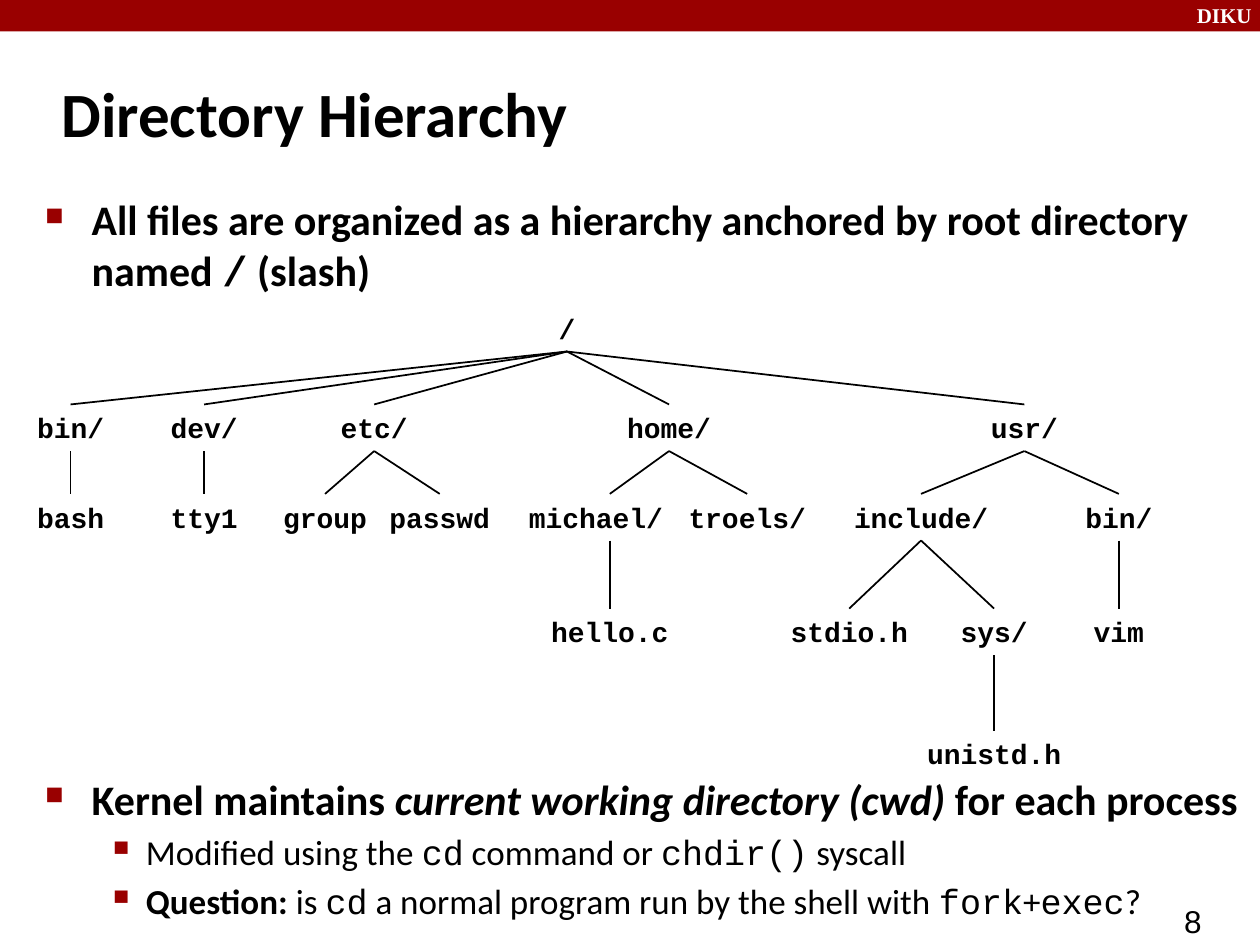
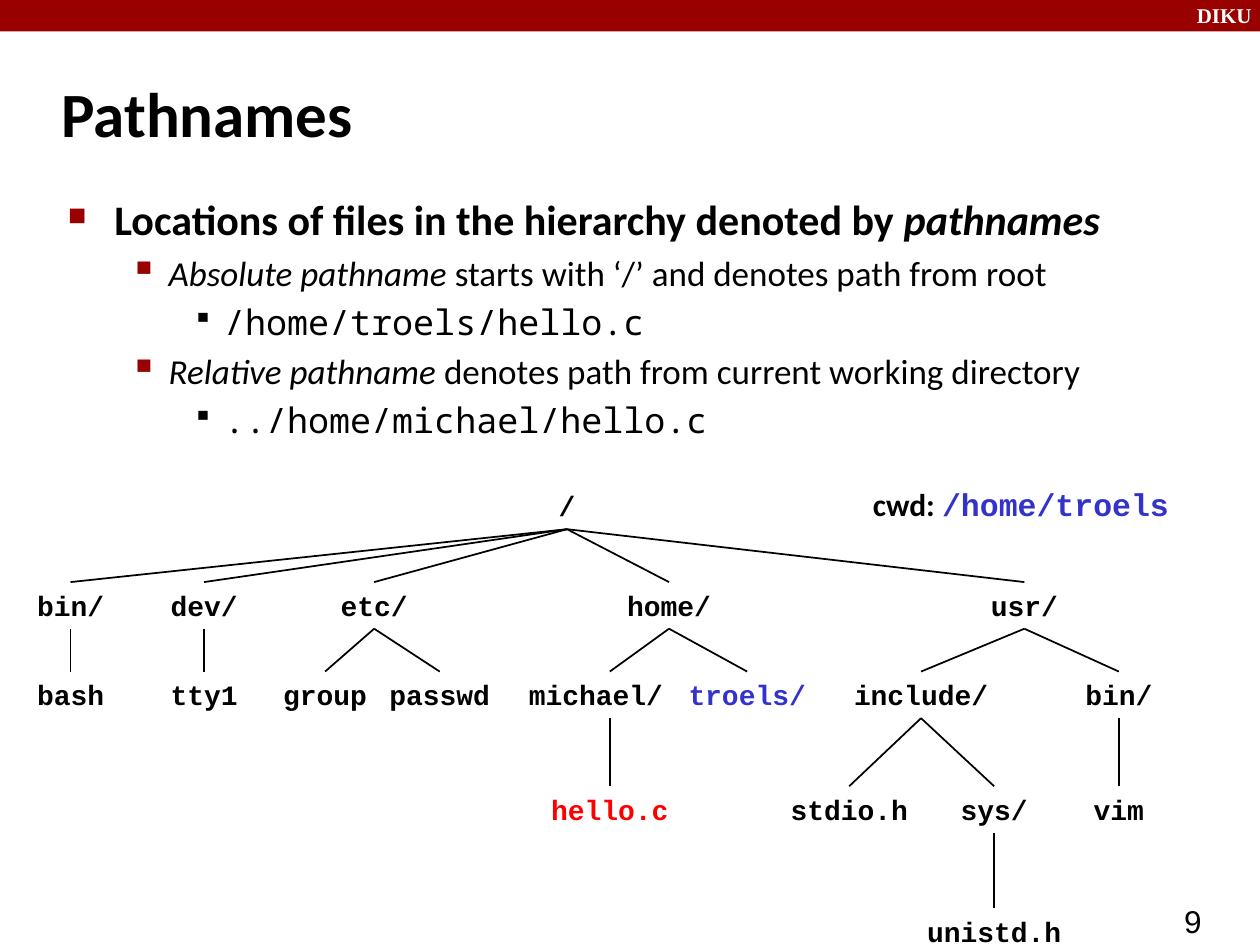
"""Build two slides on the directory hierarchy and on pathnames."""
from lxml import etree
from pptx import Presentation
from pptx import util as u
from pptx.dml.color import RGBColor
from pptx.enum import shapes, text
from pptx.oxml.ns import qn

COLORS = {"band": "990000", "white": "FFFFFF", "black": "000000",
          "cwd": "3333CC", "target": "FF0000"}

LEVELS = [
    {"margin": 0.38, "hang": 0.37, "before": 4.8, "bullet": "■", "scale": 60,
     "color": "band", "font": {"size": 24, "bold": True}},
    {"margin": 0.81, "hang": 0.31, "before": 4, "bullet": "▪", "scale": 110,
     "color": "band", "font": {"size": 20}},
    {"margin": 1.25, "hang": 0.25, "before": 4, "bullet": "▪", "scale": 80,
     "color": "black", "font": {"size": 20, "name": "Noto Sans Mono"}},
]

STYLES = {
    "plain": {},
    "bold": {"bold": True},
    "italic": {"italic": True},
    "code": {"name": "Courier New"},
    "cwd": {"name": "Courier New", "color": "cwd"},
    "title": {"size": 36, "bold": True},
    "caption": {"size": 18, "bold": True},
    "number": {"size": 18, "name": "Arial"},
    "brand": {"size": 12, "bold": True, "name": "Times New Roman", "color": "white"},
    "node": {"size": 16, "bold": True, "name": "Courier New"},
}

# name, depth, parent key, centre of the lines, centre of the label
TREE = {
    "root": ("/", 0, None, 4.5),
    "bin": ("bin/", 1, "root", 0.56),
    "dev": ("dev/", 1, "root", 1.62),
    "etc": ("etc/", 1, "root", 2.97),
    "home": ("home/", 1, "root", 5.31),
    "usr": ("usr/", 1, "root", 8.13),
    "bash": ("bash", 2, "bin", 0.56),
    "tty1": ("tty1", 2, "dev", 1.62),
    "group": ("group", 2, "etc", 2.58),
    "passwd": ("passwd", 2, "etc", 3.49),
    "michael": ("michael/", 2, "home", 4.84),
    "troels": ("troels/", 2, "home", 5.93),
    "include": ("include/", 2, "usr", 7.31),
    "usr_bin": ("bin/", 2, "usr", 8.88),
    "hello": ("hello.c", 3, "michael", 4.84),
    "stdio": ("stdio.h", 3, "include", 6.74),
    "sys": ("sys/", 3, "include", 7.89),
    "vim": ("vim", 3, "usr_bin", 8.88),
    "unistd": ("unistd.h", 4, "sys", 7.89),
}
LABEL_SHIFT = {"michael": -0.11}
DEPTH_TOPS = [0, 0.79, 1.5, 2.41, 3.38]
NODE_HEIGHT, LETTER_WIDTH, INSET = 0.36, 0.133, 0.1

SLIDES = [
    {"title": "Directory Hierarchy", "number": "8", "tree_top": 2.42, "marked": {},
     "bodies": [
         ((0.25, 1.49, 9.73, 0.95), [
             (0, [("All files are organized as a hierarchy anchored by root "
                   "directory named ", "plain"),
                  ("/", "code"), (" (slash)", "plain")])]),
         ((0.25, 6.09, 9.73, 1.3), [
             (0, [("Kernel maintains ", "plain"),
                  ("current working directory (cwd) ", "italic"),
                  ("for each process", "plain")]),
             (1, [("Modified using the ", "plain"), ("cd", "code"),
                  (" command or ", "plain"), ("chdir()", "code"),
                  (" syscall", "plain")]),
             (1, [("Question: ", "bold"), ("is ", "plain"), ("cd", "code"),
                  (" a normal program run by the shell with ", "plain"),
                  ("fork", "code"), ("+", "plain"), ("exec", "code"),
                  ("?", "plain")])])],
     "captions": []},
    {"title": "Pathnames", "number": "9", "tree_top": 3.83,
     "marked": {"troels": "cwd", "hello": "target"},
     "bodies": [
         ((0.43, 1.49, 9.32, 2.09), [
             (0, [("Locations of files in the hierarchy denoted by ", "plain"),
                  ("pathnames", "italic")]),
             (1, [("Absolute pathname ", "italic"),
                  ("starts with ‘/’ and denotes path from root", "plain")]),
             (2, [("/home/troels/hello.c", "plain")]),
             (1, [("Relative pathname ", "italic"),
                  ("denotes path from current working directory", "plain")]),
             (2, [("../home/michael/hello.c", "plain")])])],
     "captions": [((6.83, 3.8, 2.64, 0.4),
                   [("cwd: ", "plain"), ("/home/troels", "cwd")])]},
]


def rgb(name):
    return RGBColor.from_string(COLORS[name])


def add_box(page, place, wrap=True, anchor=text.MSO_ANCHOR.TOP):
    frame = page.shapes.add_textbox(*map(u.Inches, place)).text_frame
    frame.word_wrap = wrap
    frame.vertical_anchor = anchor
    return frame


def add_span(para, words, *formats):
    span = para.add_run()
    span.text = words
    values = {"name": "Calibri", "color": "black"}
    for extra in formats:
        values.update(extra)
    span.font.color.rgb = rgb(values.pop("color"))
    values["size"] = u.Pt(values["size"])
    for key, value in values.items():
        setattr(span.font, key, value)


def add_label(page, place, words, style, **options):
    para = add_box(page, place, **options).paragraphs[0]
    add_span(para, words, STYLES[style])


def set_bullet(para, level):
    props = para._p.get_or_add_pPr()
    props.set("marL", str(u.Inches(level["margin"])))
    props.set("indent", str(-u.Inches(level["hang"])))
    color = etree.SubElement(props, qn("a:buClr"))
    etree.SubElement(color, qn("a:srgbClr"), val=COLORS[level["color"]])
    etree.SubElement(props, qn("a:buSzPct"), val=str(level["scale"] * 1000))
    etree.SubElement(props, qn("a:buChar"), char=level["bullet"])


def add_body(page, place, items):
    frame = add_box(page, place)
    for index, (depth, spans) in enumerate(items):
        level = LEVELS[depth]
        para = frame.add_paragraph() if index else frame.paragraphs[0]
        set_bullet(para, level)
        if index:
            para.level = depth
            para.space_before = u.Pt(level["before"])
        for words, style in spans:
            add_span(para, words, level["font"], STYLES[style])


def add_branch(page, start, end):
    line = page.shapes.add_connector(
        shapes.MSO_CONNECTOR.STRAIGHT, *map(u.Inches, start + end))
    line.line.color.rgb = rgb("black")
    line.line.width = u.Pt(1)
    etree.SubElement(line._element.spPr, qn("a:effectLst"))


def add_tree(page, top, marked):
    for key, (name, depth, parent, center) in TREE.items():
        y = top + DEPTH_TOPS[depth]
        width = 2 * INSET + LETTER_WIDTH * len(name)
        left = center + LABEL_SHIFT.get(key, 0) - width / 2
        para = add_box(page, (left, y, width, NODE_HEIGHT), wrap=False).paragraphs[0]
        para.alignment = text.PP_ALIGN.CENTER
        add_span(para, name, STYLES["node"], {"color": marked.get(key, "black")})
        if parent:
            _, parent_depth, _, parent_center = TREE[parent]
            bottom = top + DEPTH_TOPS[parent_depth] + NODE_HEIGHT + 0.01
            add_branch(page, (parent_center, bottom), (center, y))


def add_frame(page, title, number):
    band = page.shapes.add_shape(
        shapes.MSO_SHAPE.RECTANGLE, 0, 0, u.Inches(10), u.Inches(0.25))
    band.shadow.inherit = False
    band.fill.solid()
    band.fill.fore_color.rgb = rgb("band")
    band.line.fill.background()
    add_label(page, (9.4, -0.03, 0.67, 0.3), "DIKU", "brand")
    add_label(page, (9.3, 7.11, 0.75, 0.29), number, "number")
    add_label(page, (0.39, 0.48, 8.3, 0.83), title, "title",
              anchor=text.MSO_ANCHOR.MIDDLE)


def main():
    deck = Presentation()
    deck.slide_width, deck.slide_height = u.Inches(10), u.Inches(7.5)
    for content in SLIDES:
        page = deck.slides.add_slide(deck.slide_layouts[6])
        add_frame(page, content["title"], content["number"])
        for place, items in content["bodies"]:
            add_body(page, place, items)
        add_tree(page, content["tree_top"], content["marked"])
        for place, spans in content["captions"]:
            para = add_box(page, place, wrap=False).paragraphs[0]
            for words, style in spans:
                add_span(para, words, STYLES["caption"], STYLES[style])
    deck.save("out.pptx")


if __name__ == "__main__":
    main()
